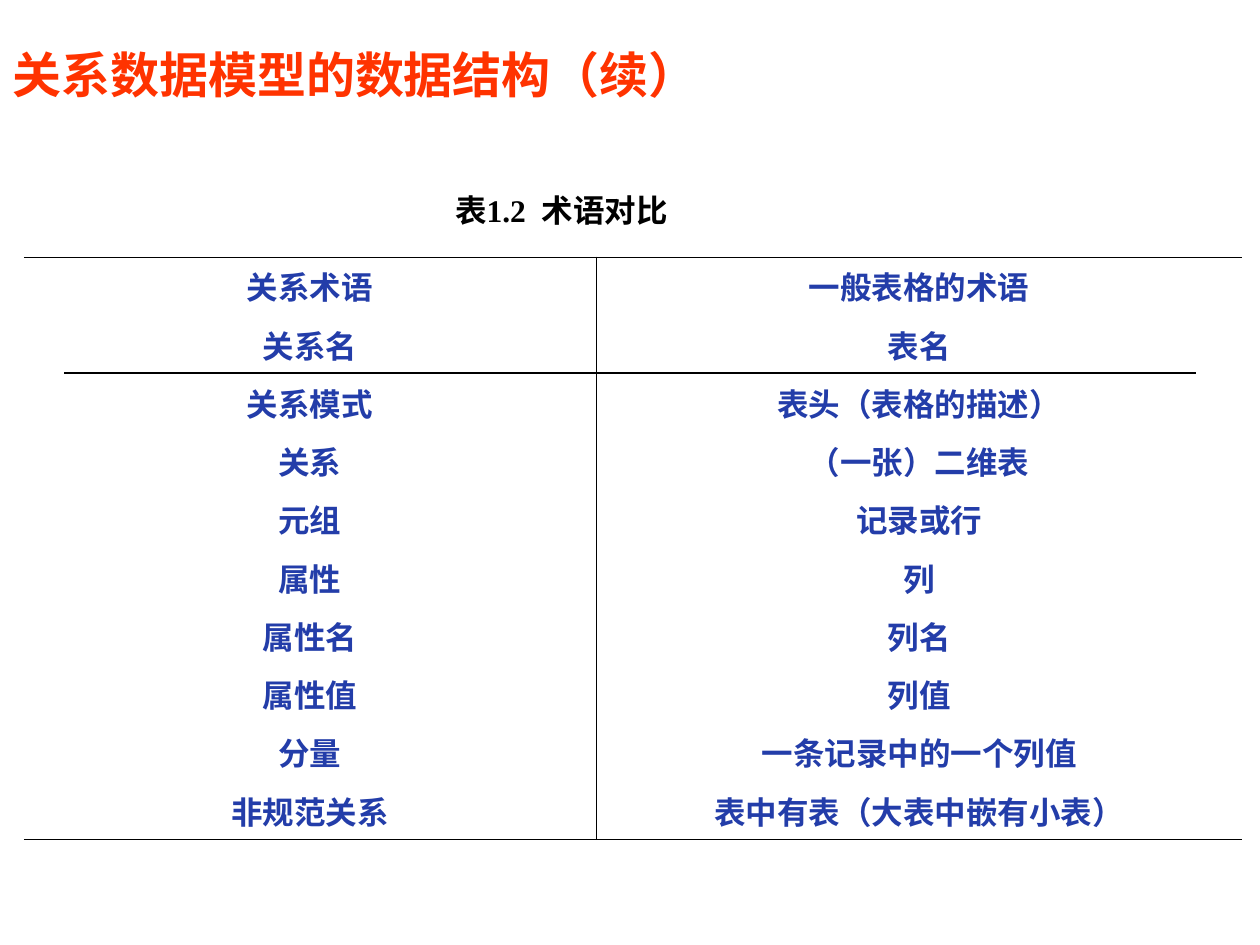
from lxml.etree import SubElement
from pptx import Presentation
from pptx.dml.color import RGBColor
from pptx.enum.shapes import MSO_CONNECTOR
from pptx.enum.text import MSO_ANCHOR, MSO_AUTO_SIZE, PP_ALIGN
from pptx.oxml import parse_xml
from pptx.oxml.ns import nsdecls, qn
from pptx.util import Inches, Pt

CHINESE_FONT = "Noto Sans CJK SC"
LATIN_FONT = "Times New Roman"
RED, BLUE, BLACK = "FF3300", "233DA9", "000000"

TERMS = [
    ("关系术语", "一般表格的术语"),
    ("关系名", "表名"),
    ("关系模式", "表头（表格的描述）"),
    ("关系", "（一张）二维表"),
    ("元组", "记录或行"),
    ("属性", "列"),
    ("属性名", "列名"),
    ("属性值", "列值"),
    ("分量", "一条记录中的一个列值"),
    ("非规范关系", "表中有表（大表中嵌有小表）"),
]
COLUMN_WIDTHS = (4.54, 5.13)
ROW_HEIGHT = 0.44


def color(value):
    return RGBColor.from_string(value)


def write_text(text_frame, text, size=18, fill=BLACK, font=LATIN_FONT,
               align=PP_ALIGN.CENTER):
    paragraph = text_frame.paragraphs[0]
    paragraph.alignment = align
    run = paragraph.add_run()
    run.text = text
    run.font.name = font
    run.font.size = Pt(size)
    run.font.bold = True
    run.font.color.rgb = color(fill)
    SubElement(run.font._element, qn("a:ea"), typeface=CHINESE_FONT)


def set_borders(cell, visible):
    """Draw thin lines on the named sides (L, R, T, B) and clear the others."""
    cell.fill.background()
    properties = cell._tc.get_or_add_tcPr()
    for index, side in enumerate("LRTB"):
        paint = (f'<a:solidFill><a:srgbClr val="{BLACK}"/></a:solidFill>'
                 if side in visible else "<a:noFill/>")
        properties.insert(index, parse_xml(
            f'<a:ln{side} {nsdecls("a")} w="{Pt(0.45)}">{paint}</a:ln{side}>'))


def add_title(slide, text):
    title = slide.shapes.title
    title.left, title.top = Inches(0), Inches(0.28)
    title.width, title.height = Inches(8.08), Inches(0.62)
    title.text_frame.vertical_anchor = MSO_ANCHOR.MIDDLE
    title.text_frame.auto_size = MSO_AUTO_SIZE.NONE
    write_text(title.text_frame, text, size=28, fill=RED, font=CHINESE_FONT,
               align=PP_ALIGN.LEFT)


def add_caption(slide, text):
    box = slide.shapes.add_textbox(Inches(3.05), Inches(1.47),
                                   Inches(2.81), Inches(0.4))
    box.text_frame.word_wrap = False
    box.text_frame.auto_size = MSO_AUTO_SIZE.SHAPE_TO_FIT_TEXT
    write_text(box.text_frame, text)


def add_term_table(slide):
    table = slide.shapes.add_table(
        len(TERMS), len(COLUMN_WIDTHS), Inches(0.19), Inches(2.04),
        Inches(sum(COLUMN_WIDTHS)), Inches(ROW_HEIGHT * len(TERMS))).table
    table.first_row = table.horz_banding = False
    for column, width in zip(table.columns, COLUMN_WIDTHS):
        column.width = Inches(width)
    for row, terms in enumerate(TERMS):
        table.rows[row].height = Inches(ROW_HEIGHT)
        outer = {0: "T", len(TERMS) - 1: "B"}.get(row, "")
        for column, (term, divider) in enumerate(zip(terms, "RL")):
            cell = table.cell(row, column)
            write_text(cell.text_frame, term, fill=BLUE)
            set_borders(cell, divider + outer)


def add_rule(slide, left, right, y):
    rule = slide.shapes.add_connector(MSO_CONNECTOR.STRAIGHT, Inches(left),
                                      Inches(y), Inches(right), Inches(y))
    rule.line.color.rgb = color(BLACK)
    rule.line.width = Pt(0.75)
    SubElement(rule._element.spPr, qn("a:effectLst"))


def main():
    presentation = Presentation()
    presentation.slide_width = Inches(10)
    presentation.slide_height = Inches(7.5)
    slide = presentation.slides.add_slide(presentation.slide_layouts[5])

    add_title(slide, "关系数据模型的数据结构（续）")
    add_term_table(slide)
    add_caption(slide, "表1.2  术语对比")
    # Line below the second row
    add_rule(slide, 0.51, 9.49, 2.96)

    presentation.save("out.pptx")


if __name__ == "__main__":
    main()
